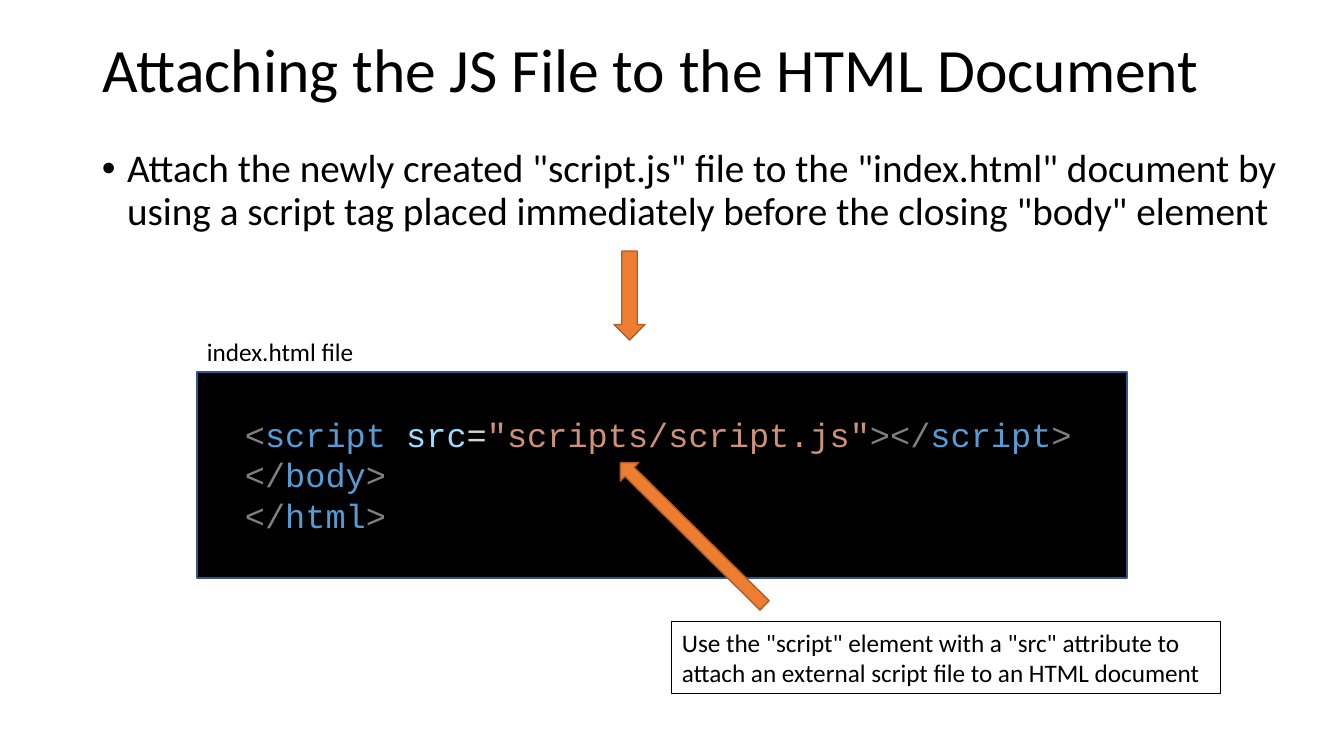
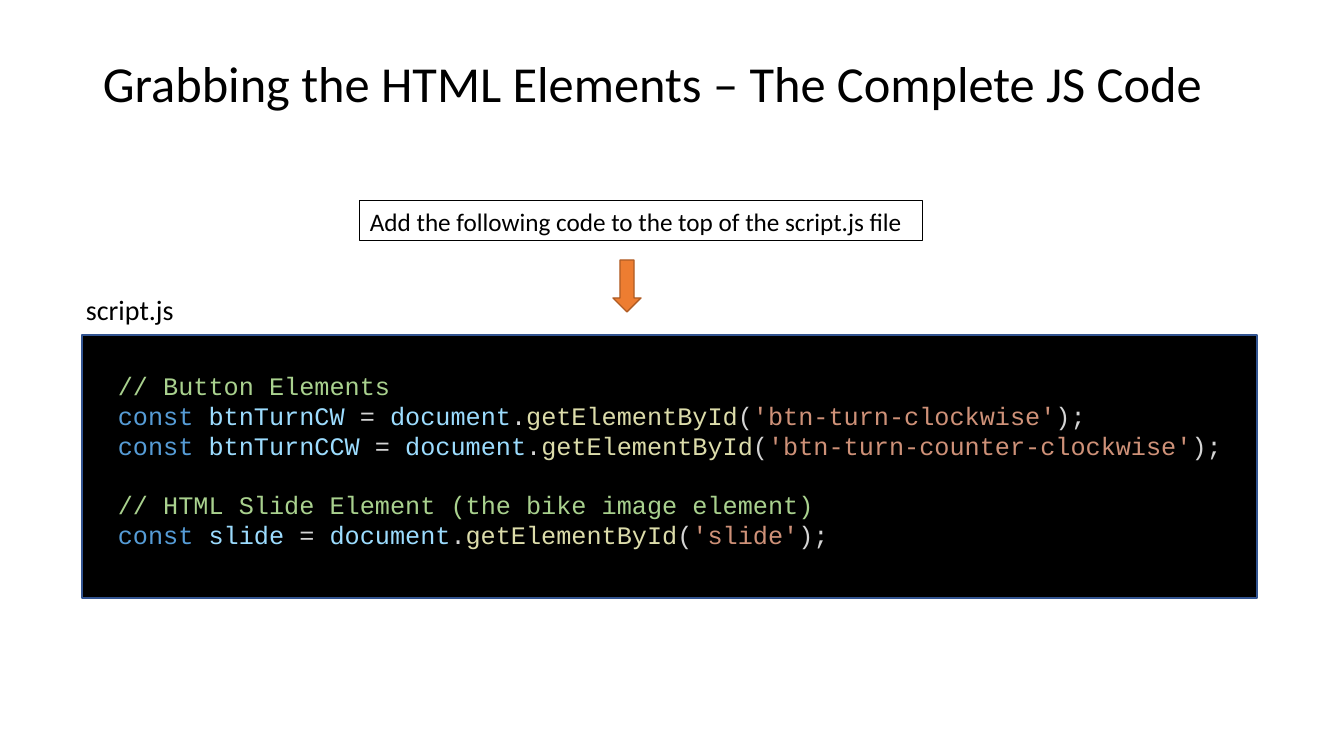
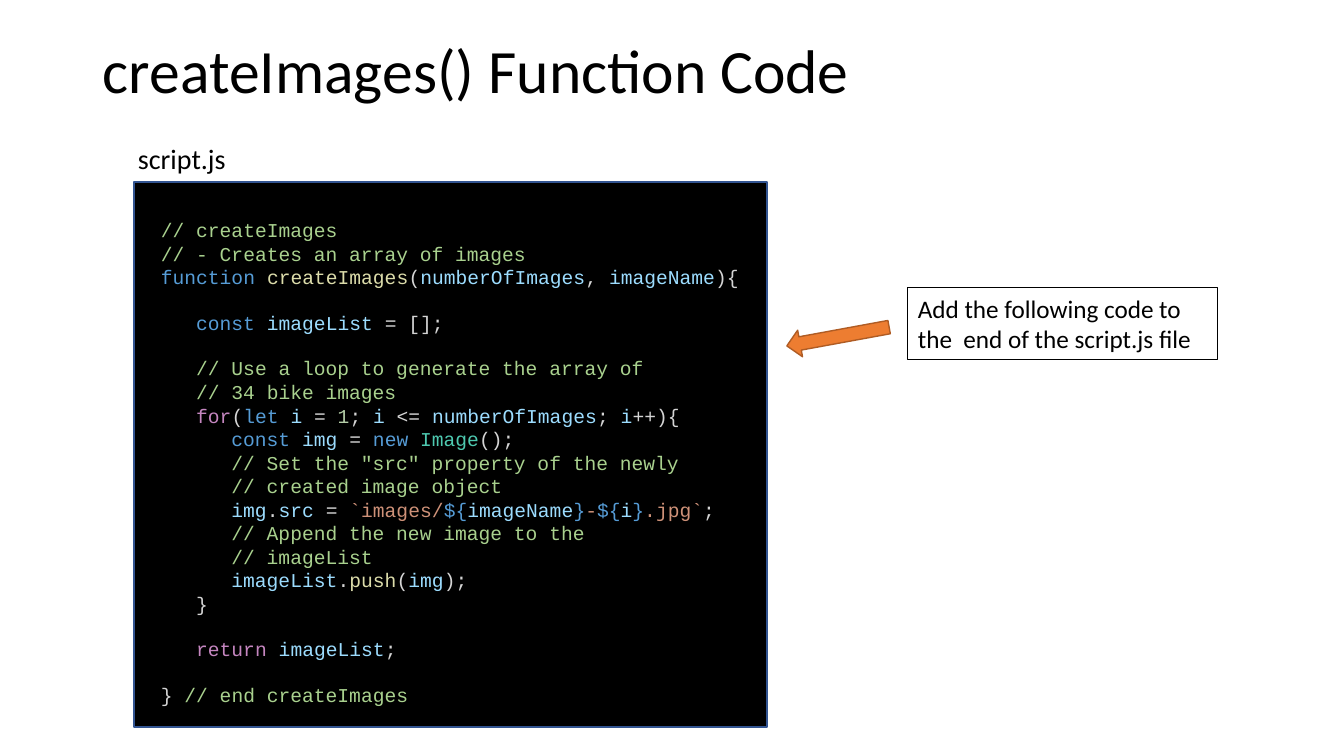
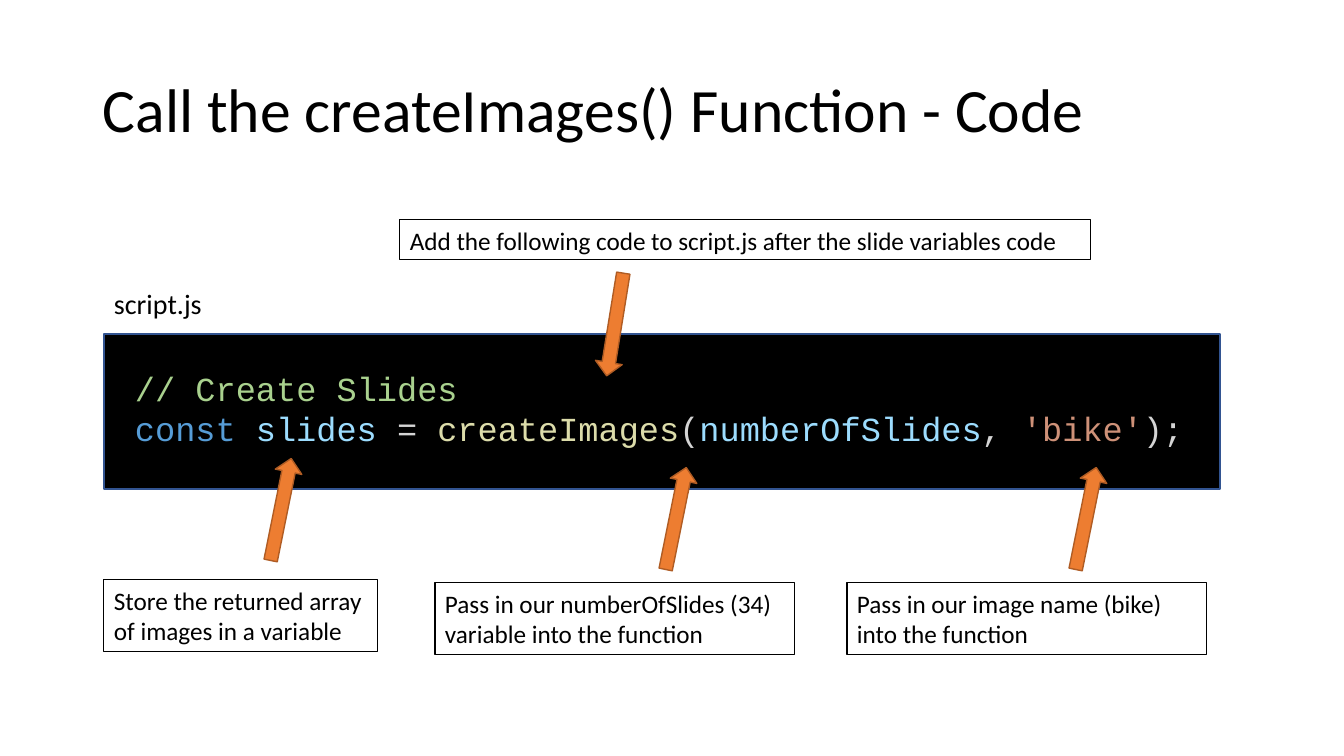
from dataclasses import dataclass
from typing import NamedTuple

from lxml.etree import SubElement
from pptx import Presentation
from pptx.dml.color import RGBColor
from pptx.enum.shapes import MSO_SHAPE as Preset
from pptx.enum.text import MSO_ANCHOR as Anchor
from pptx.enum.text import MSO_AUTO_SIZE as AutoSize
from pptx.enum.text import PP_ALIGN as Align
from pptx.oxml.ns import qn
from pptx.util import Emu, Pt

SCALE = 914400 / 100.8  # EMU in one pixel


# ---- Theme ----
def rgb(value: str) -> RGBColor:
    return RGBColor.from_string(value)


@dataclass(frozen=True)
class Theme:
    font: str = "Calibri"
    code_font: str = "Courier New"
    title_size: int = 44
    small_title_size: int = 36
    body_size: int = 28
    label_size: int = 20
    note_size: int = 18
    line_spacing: float = 0.9
    code_line_height: float = 1.13  # share of the type size
    code_indent: float = 1.8  # three characters, share of the type size
    text: RGBColor = rgb("000000")
    panel: RGBColor = rgb("000000")
    panel_line: RGBColor = rgb("325491")
    arrow: RGBColor = rgb("ED7D31")
    arrow_line: RGBColor = rgb("AF5C24")
    tag: RGBColor = rgb("808080")
    keyword: RGBColor = rgb("569CD6")
    control: RGBColor = rgb("C586C0")
    variable: RGBColor = rgb("9CDCFE")
    function: RGBColor = rgb("DCDCAA")
    type_name: RGBColor = rgb("4EC9B0")
    string: RGBColor = rgb("CE9178")
    number: RGBColor = rgb("B5CEA8")
    comment: RGBColor = rgb("A9D18E")
    plain: RGBColor = rgb("D4D4D4")


THEME = Theme()


# ---- Elements ----
class Box(NamedTuple):
    left: int
    top: int
    width: int
    height: int


class Token(NamedTuple):
    color: RGBColor
    text: str


class CodeLine(NamedTuple):
    tokens: list[Token]
    indent: int = 0
    gap: bool = False  # one empty line above


class Title(NamedTuple):
    text: str
    top: int
    size: int = THEME.title_size


class Code(NamedTuple):
    panel: Box
    box: Box
    size: int
    lines: list[CodeLine]


class Label(NamedTuple):
    text: str
    box: Box
    size: int = THEME.label_size


class Note(NamedTuple):
    text: str
    left: int
    top: int
    width: int
    height: int = 72


class Arrow(NamedTuple):
    left: int
    top: int
    angle: float
    width: int = 104
    height: int = 27


@dataclass(frozen=True)
class Page:
    title: Title
    code: Code
    label: Label
    notes: list[Note]
    arrows: list[Arrow]
    bullet: str = ""


# ---- Code tokens ----
def keyword(text: str) -> Token:
    return Token(THEME.keyword, text)


def variable(text: str) -> Token:
    return Token(THEME.variable, text)


def function(text: str) -> Token:
    return Token(THEME.function, text)


def string(text: str) -> Token:
    return Token(THEME.string, text)


def plain(text: str) -> Token:
    return Token(THEME.plain, text)


def tag(text: str) -> Token:
    return Token(THEME.tag, text)


def control(text: str) -> Token:
    return Token(THEME.control, text)


def comment(text: str, indent: int = 0, gap: bool = False) -> CodeLine:
    return CodeLine([Token(THEME.comment, f"// {text}")], indent, gap)


def closing_tag(name: str) -> CodeLine:
    return CodeLine([tag("</"), keyword(name), tag(">")])


def element_lookup(name: str, element_id: str) -> CodeLine:
    return CodeLine([keyword("const "), variable(name), plain(" = "),
                     variable("document"), plain("."), function("getElementById"),
                     plain("("), string(f"'{element_id}'"), plain(");")])


# ---- Drawing ----
def place(box: Box) -> list[Emu]:
    return [Emu(round(value * SCALE)) for value in box]


def add_preset(slide, preset, box: Box, fill: RGBColor | None,
               line: RGBColor, line_width: float = 1):
    shape = slide.shapes.add_shape(preset, *place(box))
    shape.shadow.inherit = False
    if fill is None:
        shape.fill.background()
    else:
        shape.fill.solid()
        shape.fill.fore_color.rgb = fill
    shape.line.color.rgb = line
    shape.line.width = Pt(line_width)
    return shape


def style_run(run, size: int, color: RGBColor = THEME.text,
              font: str = THEME.font) -> None:
    run.font.name = font
    run.font.size = Pt(size)
    run.font.color.rgb = color


def write(shape, text: str, size: int):
    """Fill a shape with one left-aligned paragraph and return it."""
    frame = shape.text_frame
    frame.text = text
    frame.word_wrap = True
    frame.vertical_anchor = Anchor.TOP
    paragraph = frame.paragraphs[0]
    paragraph.alignment = Align.LEFT
    style_run(paragraph.runs[0], size)
    return paragraph


def add_text(slide, box: Box, text: str, size: int):
    shape = slide.shapes.add_textbox(*place(box))
    return shape, write(shape, text, size)


def draw_title(slide, title: Title) -> None:
    shape, paragraph = add_text(slide, Box(93, title.top, 1159, 146),
                                title.text, title.size)
    shape.text_frame.vertical_anchor = Anchor.MIDDLE
    paragraph.line_spacing = THEME.line_spacing


def draw_bullet(slide, text: str) -> None:
    _, paragraph = add_text(slide, Box(92, 144, 1200, 146), text, THEME.body_size)
    paragraph.line_spacing = THEME.line_spacing
    paragraph.space_before = Pt(10)
    properties = paragraph._p.get_or_add_pPr()
    properties.set("marL", str(Pt(18)))
    properties.set("indent", str(-Pt(18)))
    SubElement(properties, qn("a:buFont")).set("typeface", "Arial")
    SubElement(properties, qn("a:buChar")).set("char", "•")


def draw_label(slide, label: Label) -> None:
    shape, _ = add_text(slide, label.box, label.text, label.size)
    shape.text_frame.word_wrap = False
    shape.text_frame.auto_size = AutoSize.SHAPE_TO_FIT_TEXT


def draw_code(slide, code: Code) -> None:
    add_preset(slide, Preset.RECTANGLE, code.panel, THEME.panel, THEME.panel_line)
    frame = slide.shapes.add_textbox(*place(code.box)).text_frame
    frame.word_wrap = True
    for index, line in enumerate(code.lines):
        paragraph = frame.add_paragraph() if index else frame.paragraphs[0]
        if line.gap:
            paragraph.space_before = Pt(code.size * THEME.code_line_height)
        if line.indent:
            margin = Pt(line.indent * code.size * THEME.code_indent)
            paragraph._p.get_or_add_pPr().set("marL", str(margin))
        for token in line.tokens:
            run = paragraph.add_run()
            run.text = token.text
            style_run(run, code.size, token.color, THEME.code_font)


def draw_note(slide, note: Note) -> None:
    box = Box(note.left, note.top, note.width, note.height)
    shape = add_preset(slide, Preset.RECTANGLE, box, None, THEME.text, 0.75)
    write(shape, note.text, THEME.note_size)


def draw_arrow(slide, arrow: Arrow) -> None:
    box = Box(arrow.left, arrow.top, arrow.width, arrow.height)
    shape = add_preset(slide, Preset.RIGHT_ARROW, box, THEME.arrow, THEME.arrow_line)
    shape.rotation = arrow.angle


def draw_page(presentation, page: Page) -> None:
    slide = presentation.slides.add_slide(presentation.slide_layouts[6])
    draw_title(slide, page.title)
    if page.bullet:
        draw_bullet(slide, page.bullet)
    draw_code(slide, page.code)
    draw_label(slide, page.label)
    for note in page.notes:
        draw_note(slide, note)
    for arrow in page.arrows:
        draw_arrow(slide, arrow)


# ---- Slide 1: script tag ----
attach_page = Page(
    title=Title("Attaching the JS File to the HTML Document", 0),
    bullet='Attach the newly created "script.js" file to the "index.html" document '
           'by using a script tag placed immediately before the closing "body" element',
    code=Code(Box(197, 372, 930, 206), Box(235, 409, 866, 132), 24, [
        CodeLine([tag("<"), keyword("script "), variable("src"), plain("="),
                  string('"scripts/script.js"'), tag("></"), keyword("script"),
                  tag(">")]),
        closing_tag("body"),
        closing_tag("html"),
    ]),
    label=Label("index.html file", Box(197, 331, 169, 40), THEME.note_size),
    notes=[Note('Use the "script" element with a "src" attribute to attach '
                'an external script file to an HTML document', 672, 622, 549)],
    arrows=[Arrow(585, 280, 90, 89, 31), Arrow(591, 521, 224.7, 203, 26)],
)

# ---- Slide 2: element lookups ----
elements_page = Page(
    title=Title("Grabbing the HTML Elements – The Complete JS Code", 13,
                THEME.small_title_size),
    code=Code(Box(82, 335, 1175, 263), Box(108, 365, 1150, 194), 18, [
        comment("Button Elements"),
        element_lookup("btnTurnCW", "btn-turn-clockwise"),
        element_lookup("btnTurnCCW", "btn-turn-counter-clockwise"),
        comment("HTML Slide Element (the bike image element)", gap=True),
        element_lookup("slide", "slide"),
    ]),
    label=Label("script.js", Box(76, 288, 109, 44)),
    notes=[Note("Add the following code to the top of the script.js file",
                360, 201, 563, 40)],
    arrows=[Arrow(601, 272, 90, 52, 28)],
)

# ---- Slide 3: function body ----
function_page = Page(
    title=Title("createImages() Function Code", 1),
    code=Code(Box(134, 182, 633, 545), Box(151, 213, 616, 509), 14, [
        comment("createImages"),
        comment("- Creates an array of images"),
        CodeLine([keyword("function "), function("createImages"), plain("("),
                  variable("numberOfImages"), plain(", "), variable("imageName"),
                  plain("){")]),
        CodeLine([keyword("const "), variable("imageList"), plain(" = [];")], 1, True),
        comment("Use a loop to generate the array of", 1, True),
        comment("34 bike images", 1),
        CodeLine([control("for"), plain("("), keyword("let "), variable("i"),
                  plain(" = "), Token(THEME.number, "1"), plain("; "), variable("i"),
                  plain(" <= "), variable("numberOfImages"), plain("; "),
                  variable("i"), plain("++){")], 1),
        CodeLine([keyword("const "), variable("img"), plain(" = "), keyword("new "),
                  Token(THEME.type_name, "Image"), plain("();")], 2),
        comment('Set the "src" property of the newly', 2),
        comment("created image object", 2),
        CodeLine([variable("img"), plain("."), variable("src"), plain(" = "),
                  string("`images/"), keyword("${"), variable("imageName"),
                  keyword("}"), string("-"), keyword("${"), variable("i"),
                  keyword("}"), string(".jpg`"), plain(";")], 2),
        comment("Append the new image to the", 2),
        comment("imageList", 2),
        CodeLine([variable("imageList"), plain("."), function("push"), plain("("),
                  variable("img"), plain(");")], 2),
        CodeLine([plain("}")], 1),
        CodeLine([control("return "), variable("imageList"), plain(";")], 1, True),
        CodeLine([plain("} "), Token(THEME.comment, "// end createImages")], gap=True),
    ]),
    label=Label("script.js", Box(128, 137, 109, 44)),
    notes=[Note("Add the following code to the  end of the script.js file",
                908, 288, 310)],
    arrows=[Arrow(786, 323, 169.6)],
)

# ---- Slide 4: function call ----
call_page = Page(
    title=Title("Call the createImages() Function - Code", 40),
    code=Code(Box(104, 334, 1116, 155), Box(125, 363, 1096, 92), 24, [
        comment("Create Slides"),
        CodeLine([keyword("const "), variable("slides"), plain(" = "),
                  function("createImages"), plain("("), variable("numberOfSlides"),
                  plain(", "), string("'bike'"), plain(");")]),
    ]),
    label=Label("script.js", Box(104, 282, 109, 44)),
    notes=[
        Note("Add the following code to script.js after the slide variables code",
             400, 220, 691, 40),
        Note("Store the returned array of images in a variable", 104, 580, 274),
        Note("Pass in our numberOfSlides (34) variable into the function",
             435, 583, 360),
        Note("Pass in our image name (bike) into the function", 847, 583, 360),
    ],
    arrows=[Arrow(563, 311, 99.2), Arrow(229, 496, 281.4),
            Arrow(624, 505, 281.4), Arrow(1034, 505, 281.4)],
)

# ---- Presentation ----
presentation = Presentation()
presentation.slide_width, presentation.slide_height = place(Box(0, 0, 1344, 756))[2:]
for page in (attach_page, elements_page, function_page, call_page):
    draw_page(presentation, page)
presentation.save("out.pptx")
